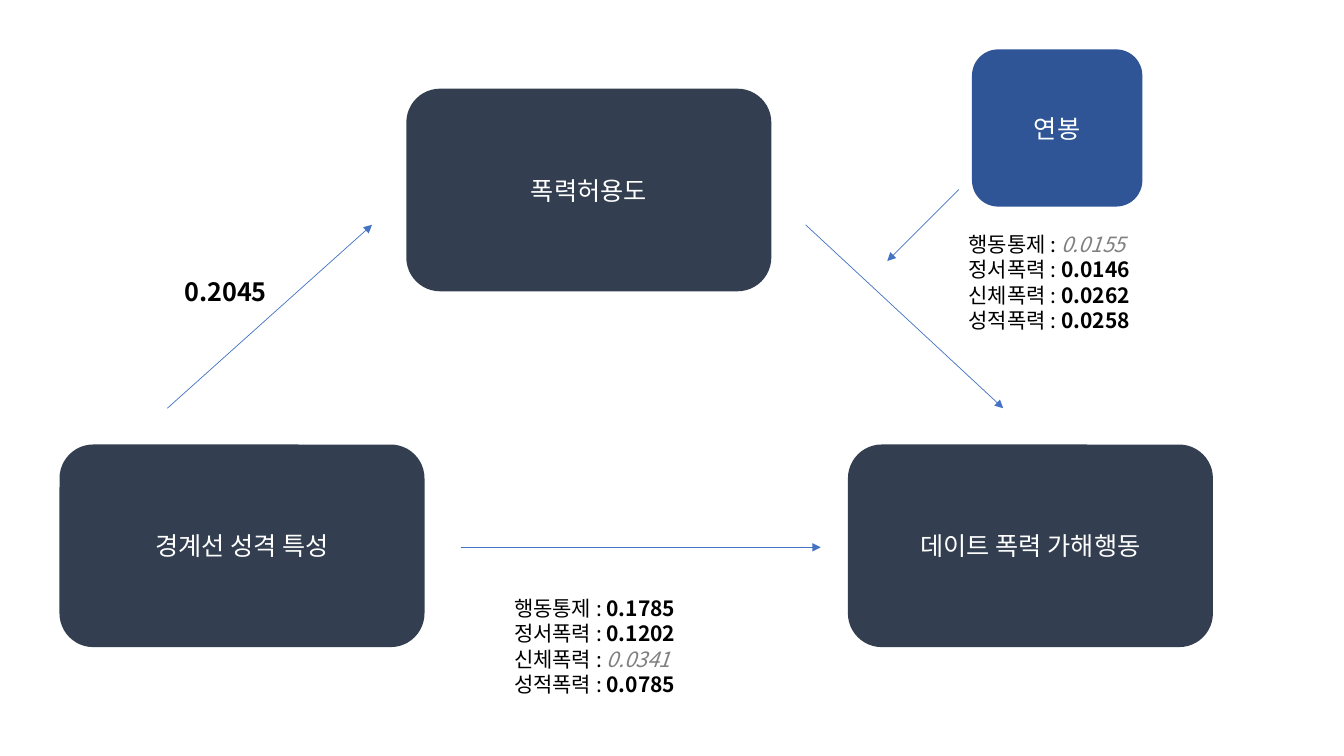
import pptx
import pptx.util
import pptx.dml.color
import pptx.enum.shapes
import pptx.enum.text
import pptx.oxml.ns
import lxml.etree

COLORS = {
    "variable": "333F50",
    "moderator": "2F5597",
    "path": "4472C4",
    "light": "FFFFFF",
    "dark": "000000",
    "weak": "808080",
}
FONT = "Noto Sans CJK KR"
CELL = pptx.util.Inches(0.1)
OUTCOMES = ("행동통제", "정서폭력", "신체폭력", "성적폭력")


def grid(*cells):
    return [round(cell * CELL) for cell in cells]


def rgb(name):
    return pptx.dml.color.RGBColor.from_string(COLORS[name])


def add_xml(parent, tag, **attributes):
    return lxml.etree.SubElement(parent, pptx.oxml.ns.qn(tag), attributes)


class Diagram:
    def __init__(self, slide, font):
        self.shapes = slide.shapes
        self.font = font

    def run(self, paragraph, words, size, color, bold=False, italic=False):
        piece = paragraph.add_run()
        piece.text = words
        piece.font.size = pptx.util.Pt(size)
        piece.font.name = self.font
        piece.font.bold = bold
        piece.font.italic = italic
        piece.font.color.rgb = rgb(color)
        add_xml(piece.font._element, "a:ea", typeface=self.font)

    def box(self, label, column, row, width=36.2, height=20.1, fill="variable"):
        node = self.shapes.add_shape(
            pptx.enum.shapes.MSO_SHAPE.ROUNDED_RECTANGLE,
            *grid(column, row, width, height))
        node.shadow.inherit = False
        node.fill.solid()
        node.fill.fore_color.rgb = rgb(fill)
        node.line.fill.background()
        node.text_frame.word_wrap = True
        node.text_frame.vertical_anchor = pptx.enum.text.MSO_ANCHOR.MIDDLE
        paragraph = node.text_frame.paragraphs[0]
        paragraph.alignment = pptx.enum.text.PP_ALIGN.CENTER
        self.run(paragraph, label, 18, "light")

    def arrow(self, start, end):
        link = self.shapes.add_connector(
            pptx.enum.shapes.MSO_CONNECTOR.STRAIGHT, *grid(*start, *end))
        link.line.color.rgb = rgb("path")
        link.line.width = pptx.util.Pt(0.5)
        add_xml(link.line._get_or_add_ln(), "a:tailEnd", type="triangle")
        add_xml(link._element.spPr, "a:effectLst")

    def text(self, column, row, width, height):
        frame = self.shapes.add_textbox(
            *grid(column, row, width, height)).text_frame
        frame.word_wrap = True
        return frame

    def coefficient(self, value, column, row):
        frame = self.text(column, row, 15.7, 4)
        self.run(frame.paragraphs[0], value, 18, "dark", bold=True)

    def effects(self, values, weak, column, row):
        frame = self.text(column, row, 23, 11.1)
        for index, (outcome, value) in enumerate(zip(OUTCOMES, values)):
            paragraph = frame.add_paragraph() if index else frame.paragraphs[0]
            self.run(paragraph, outcome + " : ", 15, "dark")
            if outcome == weak:
                self.run(paragraph, value, 15, "weak", italic=True)
            else:
                self.run(paragraph, value, 15, "dark", bold=True)


deck = pptx.Presentation()
deck.slide_width = pptx.util.Inches(13.33)
deck.slide_height = pptx.util.Inches(7.5)
model = Diagram(deck.slides.add_slide(deck.slide_layouts[6]), FONT)

model.box("경계선 성격 특성", 5.9, 44.1)
model.box("폭력허용도", 40.3, 8.8)
model.box("데이트 폭력 가해행동", 84.1, 44.1)
model.box("연봉", 96.4, 4.9, 16.9, 15.6, "moderator")

model.arrow((16.6, 40.5), (36.9, 22.3))
model.arrow((79.9, 22.3), (99.5, 40.5))
model.arrow((45.7, 54.3), (81.4, 54.3))
model.arrow((95.1, 18.8), (88, 25.9))

model.coefficient("0.2045", 17.3, 26.9)
model.effects(("0.1785", "0.1202", "0.0341", "0.0785"), "신체폭력", 50, 58.6)
model.effects(("0.0155", "0.0146", "0.0262", "0.0258"), "행동통제", 95.1, 22.5)

deck.save("out.pptx")
